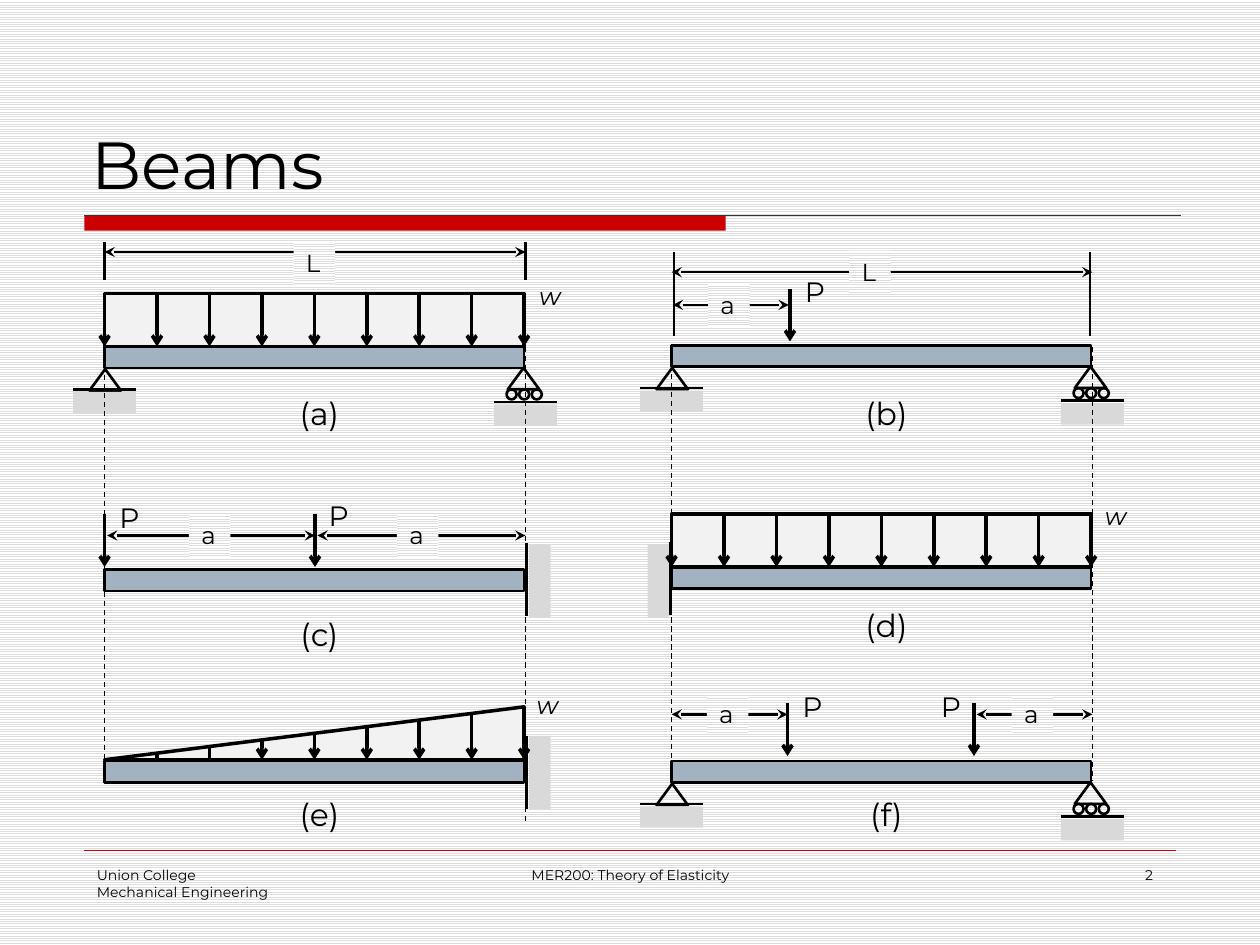
"""Build a slide of six beam loading diagrams."""
from lxml import etree
from pptx import Presentation
from pptx.dml.color import RGBColor
from pptx.enum import dml, shapes, text
from pptx.oxml.ns import qn

PX = 9144
FONT = "Montserrat"
BLACK, RED, STEEL, PALE, GREY = "000000", "CC0000", "A3B2C1", "F2F2F2", "D9D9D9"
SPAN, DEEP, DROP, BAYS = 333, 17, 42, 8
KIND = shapes.MSO_SHAPE
LEFT, MID, RIGHT = text.PP_ALIGN.LEFT, text.PP_ALIGN.CENTER, text.PP_ALIGN.RIGHT

BEAMS = [(83, 275), (533, 450), (533, 274), (533, 604), (83, 452), (83, 604)]
PINS = [(71, 293), (521, 292), (521, 622)]
ROLLERS = [(403, 292), (853, 291), (853, 621)]
WALLS = [(532, 430, 514, 432), (418, 431, 420, 432), (418, 584, 420, 584)]
EVEN = [(83, 233), (533, 408)]
RAMP = (83, 561)
POINTS = [(83, 408), (250, 408), (627, 229), (773, 558), (625, 558)]
DASHES = [(83, 233, 613), (417, 275, 654), (533, 275, 620), (867, 275, 620)]
TICKS = [(535, 200, 267), (865, 200, 267), (83, 192, 222), (417, 192, 222)]
SIZES = [
    (533, 625, 567, "a", 561, 550), (775, 867, 567, "a", 803, 550),
    (534, 626, 242, "a", 562, 225), (83, 417, 200, "L", 233, 192),
    (533, 867, 216, "L", 674, 199), (85, 250, 425, "a", 150, 408),
    (252, 417, 425, "a", 315, 408),
]
WS = [(418, 218), (416, 543), (867, 393)]
PS = [(629, 213), (627, 542), (737, 542), (251, 391), (85, 392)]
NAMES = [("(a)", 225, 308), ("(b)", 675, 308), ("(c)", 225, 483),
         ("(e)", 225, 626), ("(d)", 675, 476), ("(f)", 675, 626)]
FOOT = [("Union College\nMechanical Engineering", 67, 208, LEFT),
        ("MER200: Theory of Elasticity", 342, 317, MID),
        ("2", 717, 208, RIGHT)]

deck = Presentation()
deck.slide_width, deck.slide_height = 1000 * PX, 750 * PX
slide = deck.slides.add_slide(deck.slide_layouts[6])


def rgb(code):
    return RGBColor.from_string(code)


def emu(*vals):
    return [round(v * PX) for v in vals]


def hatch(fill):
    fill.patterned()
    fill.pattern = dml.MSO_PATTERN.LIGHT_HORIZONTAL
    fill.fore_color.rgb, fill.back_color.rgb = rgb("DDDDDD"), rgb("FFFFFF")


def shape(kind, x, y, w, h, fill=None, wide=1.5):
    item = slide.shapes.add_shape(kind, *emu(x, y, w, h))
    item.shadow.inherit = False
    if fill:
        item.fill.solid()
        item.fill.fore_color.rgb = rgb(fill)
    else:
        item.fill.background()
    if wide:
        item.line.color.rgb = rgb(BLACK)
        item.line.width = round(wide * 12700)
    else:
        item.line.fill.background()
    return item


def line(x1, y1, x2, y2, wide=1.5, hue=BLACK, head=None, tail=None, dash=False):
    item = slide.shapes.add_connector(shapes.MSO_CONNECTOR.STRAIGHT, *emu(x1, y1, x2, y2))
    item.line.color.rgb = rgb(hue)
    item.line.width = round(wide * 12700)
    if dash:
        item.line.dash_style = dml.MSO_LINE.DASH
    for tag, tip in (("a:headEnd", head), ("a:tailEnd", tail)):
        if tip:
            etree.SubElement(item.line._ln, qn(tag), type=tip)
    etree.SubElement(item._element.spPr, qn("a:effectLst"))


def label(words, x, y, w, h, size, align=LEFT, wrap=False, slant=False, low=False):
    box = slide.shapes.add_textbox(*emu(x, y, w, h))
    frame = box.text_frame
    frame.word_wrap = wrap
    if not wrap:
        frame.auto_size = text.MSO_AUTO_SIZE.SHAPE_TO_FIT_TEXT
    frame.vertical_anchor = text.MSO_ANCHOR.BOTTOM if low else text.MSO_ANCHOR.TOP
    frame.text = words
    for para in frame.paragraphs:
        para.alignment = align
        font = para.font
        font.name, font.size, font.italic = FONT, size * 12700, slant
        font.color.rgb = rgb(BLACK)
    return box


def arrow(x, top, end):
    line(x, top, x, end, 2, tail="arrow")


def ground(x, y):
    line(x, y, x + 50, y)
    shape(KIND.RECTANGLE, x, y + 2, 50, DEEP, GREY, 0)


def prop(x, y):
    shape(KIND.ISOSCELES_TRIANGLE, x, y, 25, DEEP)


hatch(slide.background.fill)
shape(KIND.RECTANGLE, 67, 171, 509, 12, RED, 0)
line(67, 171, 937, 171, 0.75, "333333")
line(67, 675, 933, 675, 0.25, RED)
for words, x, w, align in FOOT:
    label(words, x, 683, w, 50, 8, align, True)
label("Beams", 63, 33, 875, 133, 38, wrap=True, low=True)

for x, y in BEAMS:
    shape(KIND.RECTANGLE, x, y, SPAN, DEEP, STEEL)
for x, y in PINS:
    prop(x, y)
    ground(x - 13, y + 16)
for x, y in ROLLERS:
    ground(x - 11, y + 27)
    for step in (-1, 9, 19):
        shape(KIND.OVAL, x + step, y + 17, 8, 8)
    prop(x, y)
for x, y, side, top in WALLS:
    line(x, y, x, y + 58)
    shape(KIND.RECTANGLE, side, top, DEEP, 58, GREY, 0)

for x, y in EVEN:
    shape(KIND.RECTANGLE, x, y, SPAN, DROP, PALE, 2)
    for bay in range(BAYS + 1):
        arrow(x + SPAN * bay / BAYS, y, y + DROP)
x, y = RAMP
shape(KIND.ISOSCELES_TRIANGLE, x, y, SPAN, DROP, PALE, 2).adjustments[0] = 1
for bay in range(1, BAYS + 1):
    at, end = x + SPAN * bay / BAYS, y + DROP
    line(at, end - DROP * bay / BAYS, at, end, 2, tail="arrow" if bay > 2 else None)
for x, y in POINTS:
    arrow(x, y, y + DROP)

for x, y in WS:
    label("w", x, y, 39, 34, 14, slant=True)
for x, top, end in DASHES:
    line(x, top, x, end, 0.75, dash=True)
for x, y in PS:
    label("P", x, y, 36, 37, 16)
for x, top, end in TICKS:
    line(x, top, x, end)
for x1, x2, y, words, left, top in SIZES:
    line(x1, y, x2, y, head="stealth", tail="stealth")
    hatch(label(words, left, top, 33, 34, 14).fill)
for words, x, y in NAMES:
    label(words, x, y, 57, 40, 18, MID)

deck.save("out.pptx")
